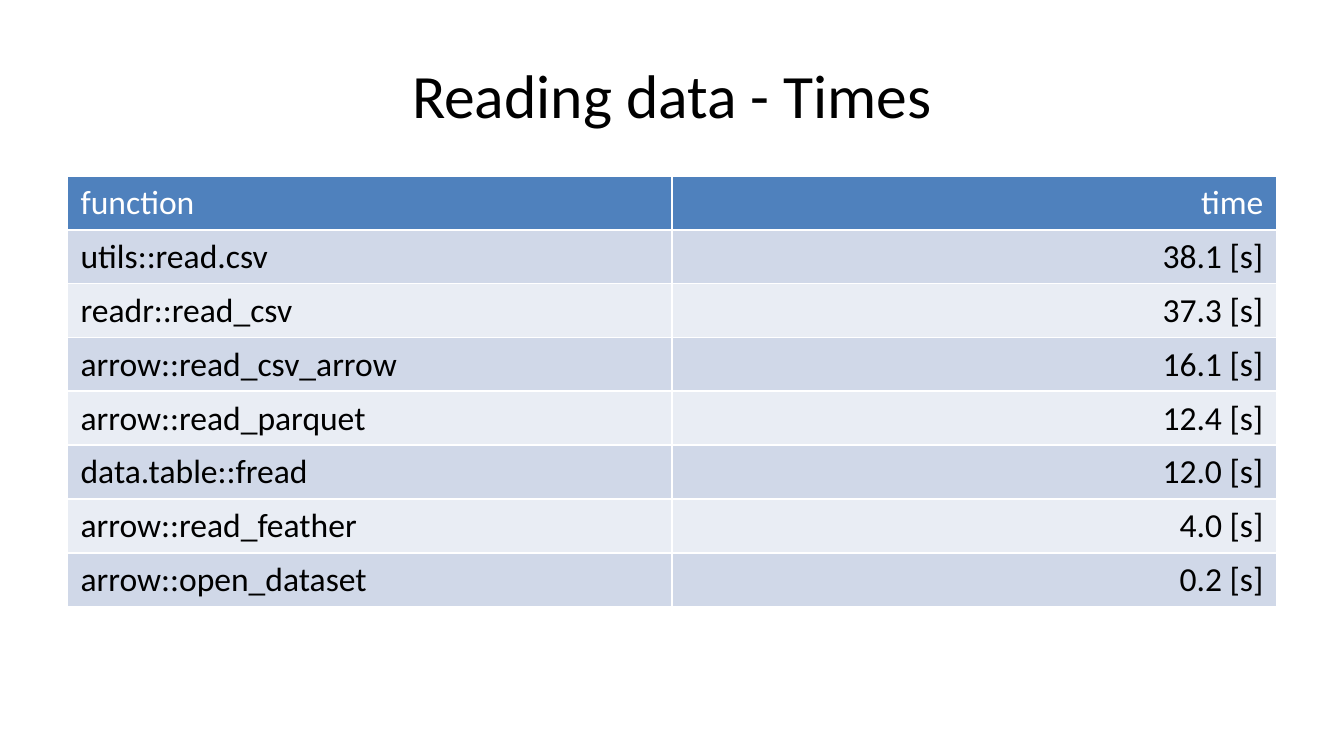
from pptx import Presentation
from pptx.dml.color import RGBColor as RGB
from pptx.enum.text import MSO_ANCHOR as Anchor, PP_ALIGN as Align
from pptx.util import Inches, Pt

TIMES = [
    ("function", "time"),
    ("utils::read.csv", "38.1 [s]"),
    ("readr::read_csv", "37.3 [s]"),
    ("arrow::read_csv_arrow", "16.1 [s]"),
    ("arrow::read_parquet", "12.4 [s]"),
    ("data.table::fread", "12.0 [s]"),
    ("arrow::read_feather", "4.0 [s]"),
    ("arrow::open_dataset", "0.2 [s]"),
]
HEAD = "4F81BD"
BANDS = ("E9EDF4", "D0D8E8")


def color(code):
    return RGB.from_string(code)


def write(frame, text, size=18, ink="000000", align=Align.LEFT):
    para = frame.paragraphs[0]
    para.alignment = align
    run = para.add_run()
    run.text = text
    font = run.font
    font.name = "Calibri"
    font.size = Pt(size)
    font.bold = False
    font.color.rgb = color(ink)


class Deck:
    def __init__(self, width, height):
        self.prs = Presentation()
        self.prs.slide_width = Inches(width)
        self.prs.slide_height = Inches(height)
        self.slide = self.prs.slides.add_slide(self.prs.slide_layouts[6])

    def title(self, text, *area):
        box = self.slide.shapes.add_textbox(*map(Inches, area))
        frame = box.text_frame
        frame.word_wrap = True
        frame.vertical_anchor = Anchor.MIDDLE
        write(frame, text, size=33, align=Align.CENTER)

    def table(self, data, *area):
        grid = self.slide.shapes.add_table(
            len(data), len(data[0]), *map(Inches, area)).table
        for row, line in enumerate(data):
            grid.rows[row].height = Inches(0)
            fill = BANDS[row % 2] if row else HEAD
            ink = "000000" if row else "FFFFFF"
            for col, text in enumerate(line):
                cell = grid.cell(row, col)
                cell.fill.solid()
                cell.fill.fore_color.rgb = color(fill)
                align = Align.RIGHT if col else Align.LEFT
                write(cell.text_frame, text, ink=ink, align=align)


def main():
    deck = Deck(10, 10 * 9 / 16)
    deck.title("Reading data - Times", 0.5, 0.23, 9, 0.94)
    deck.table(TIMES, 0.5, 1.31, 9, 2.6)
    deck.prs.save("out.pptx")


if __name__ == "__main__":
    main()
